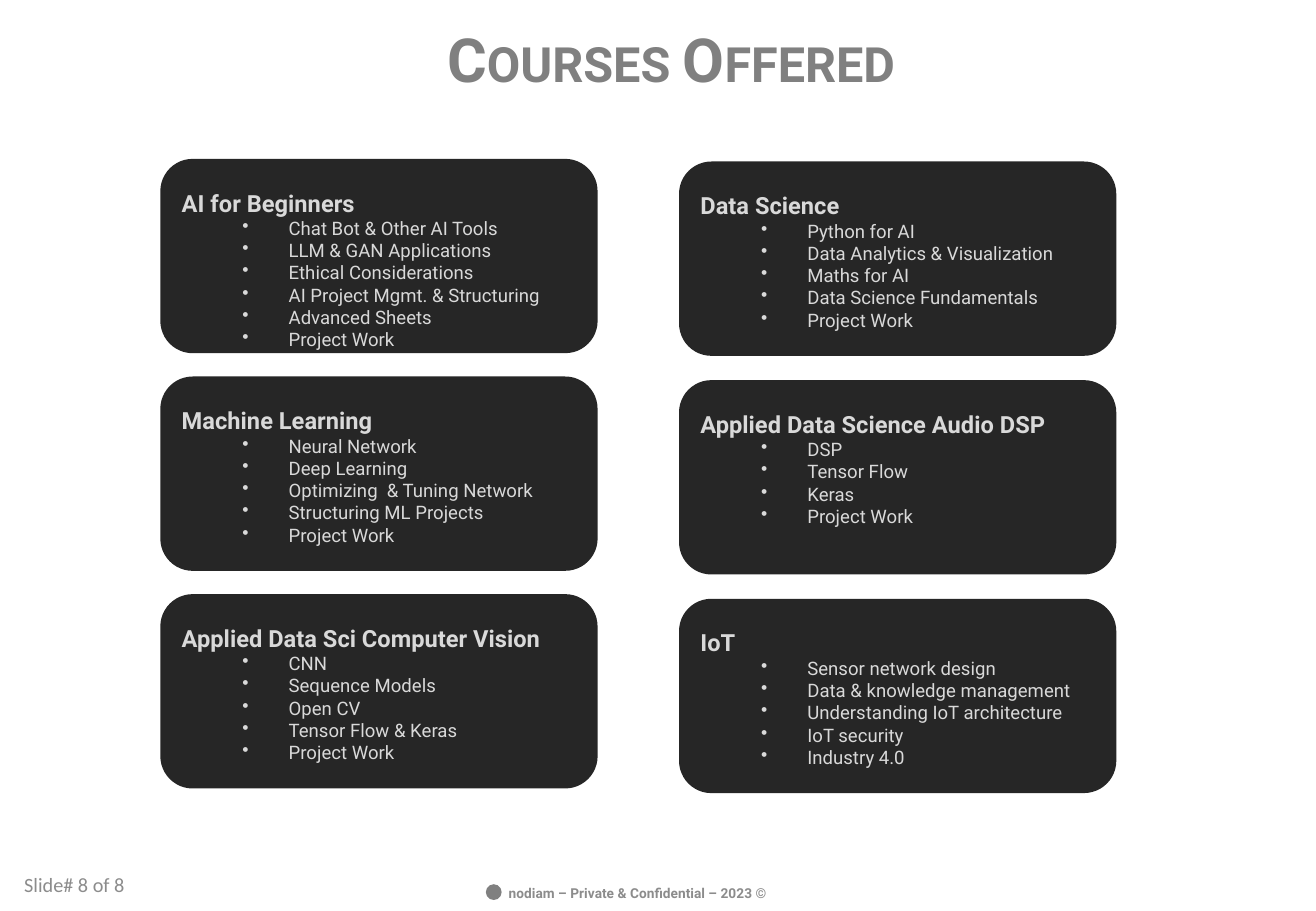
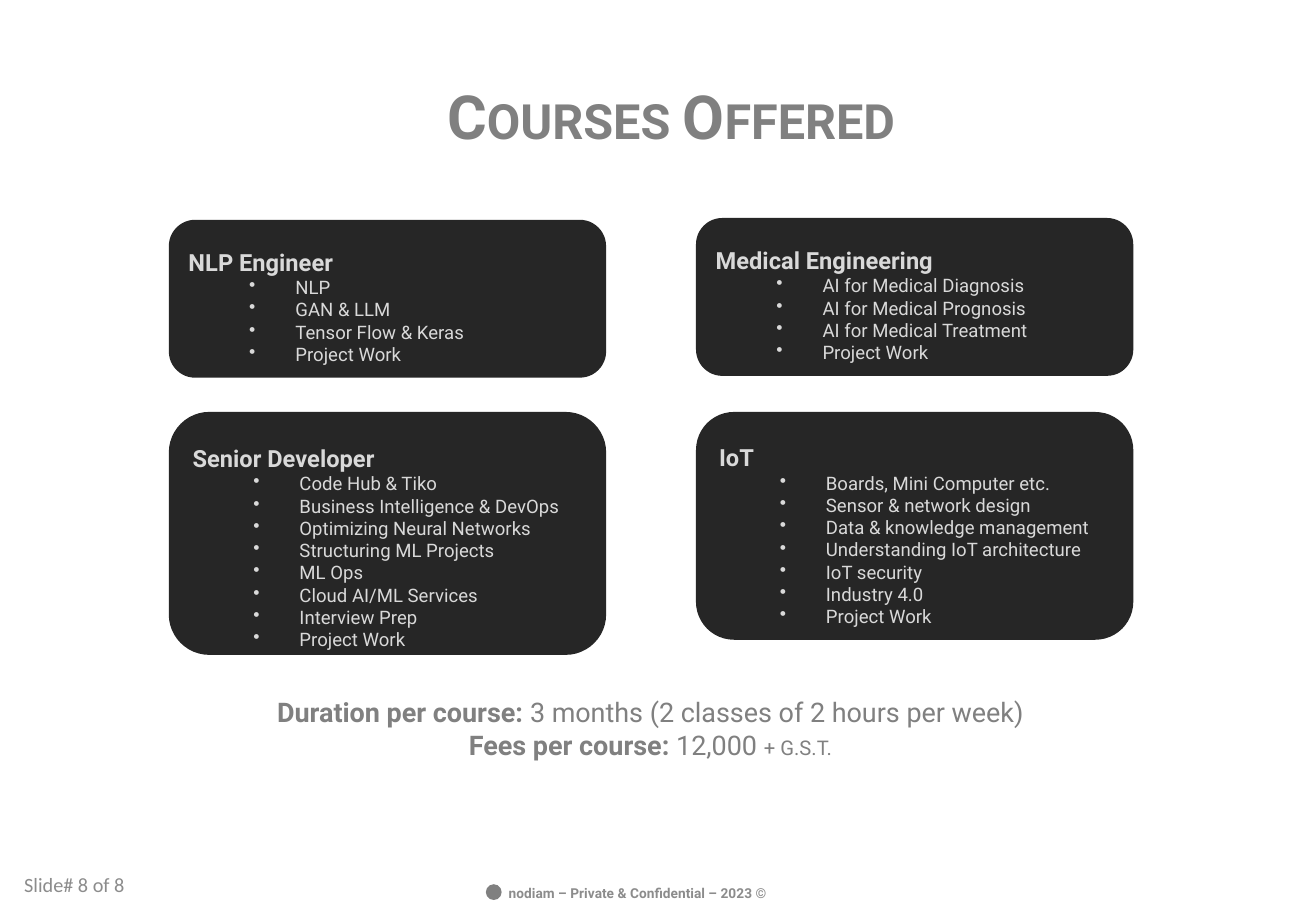
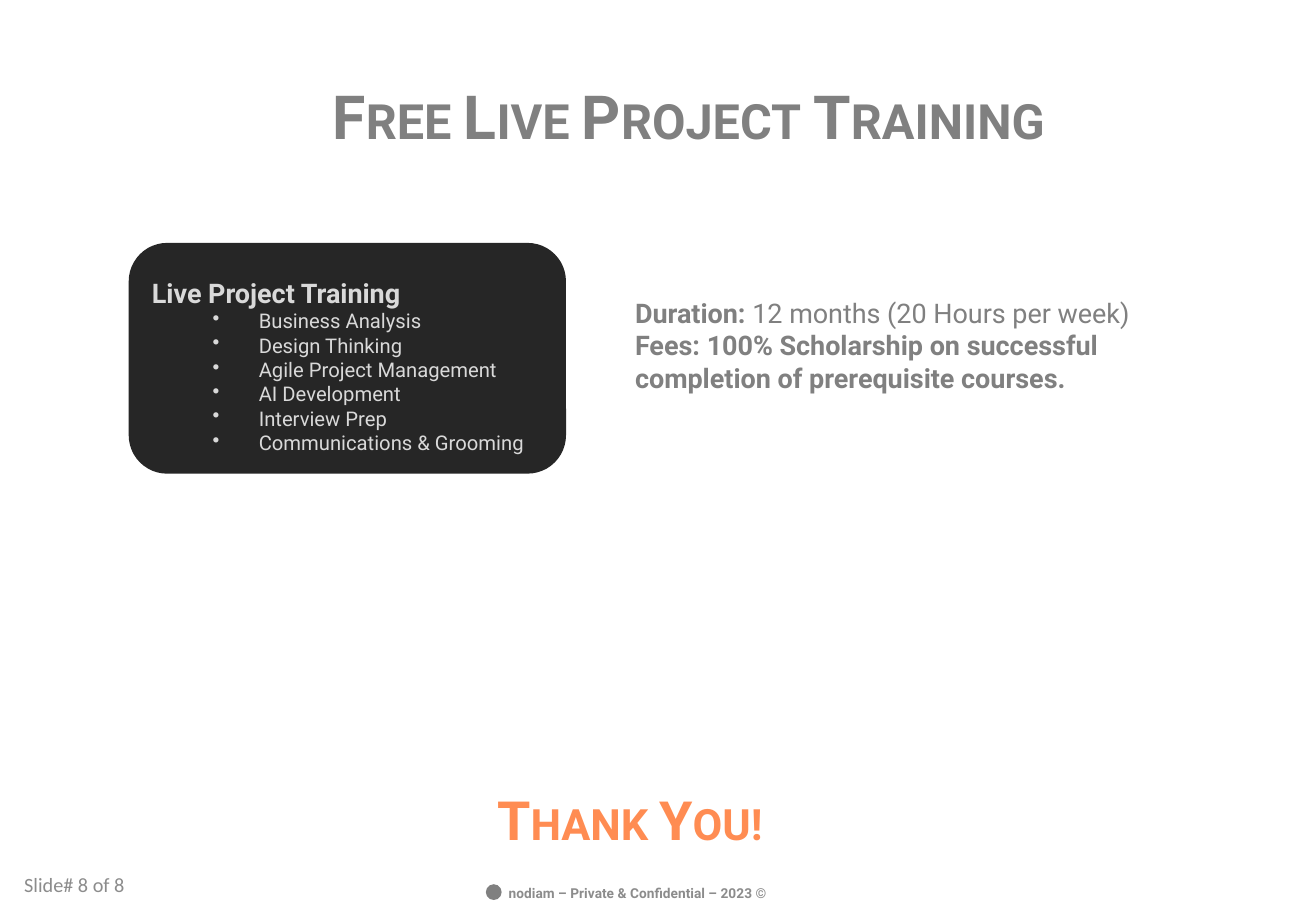
"""Build three course slides: two course overviews and a training offer."""
from lxml.etree import SubElement
from pptx import Presentation
from pptx.dml.color import RGBColor
from pptx.enum.shapes import MSO_SHAPE as Shape
from pptx.enum.text import MSO_ANCHOR as Anchor, PP_ALIGN as Align
from pptx.oxml.ns import qn
from pptx.util import Inches, Pt

COLUMNS, ROWS = 130, 90
CARD_WIDTH = 43.2


def cells(count):
    """Turn a count of grid cells, twelve to the inch, into a length."""
    return Inches(count / 12)


def color(code):
    """Turn a hex string into a colour."""
    return RGBColor.from_string(code)


def write(paragraph, text, size=16, ink="808080", bold=False, font="Roboto", small_caps=False):
    """Add a formatted run to a paragraph."""
    run = paragraph.add_run()
    run.text = text
    run.font.size = Pt(size)
    run.font.bold = bold
    run.font.name = font
    run.font.color.rgb = color(ink)
    if small_caps:
        run._r.get_or_add_rPr().set("cap", "small")


def add_bullet(paragraph):
    """Give a paragraph a hanging bullet."""
    paragraph.level = 1
    properties = paragraph._p.get_or_add_pPr()
    properties.set("marL", str(Inches(0.88)))
    properties.set("indent", str(Inches(-0.38)))
    SubElement(properties, qn("a:buChar")).set("char", "•")


class Deck:
    """Hold the shared style and the current slide."""

    GRAY, FOOTER, CARD, CARD_TEXT, ACCENT = "808080", "8C8C8C", "262626", "D9D9D9", "FF8C52"

    def __init__(self):
        """Start an empty presentation on the grid."""
        self.presentation = Presentation()
        self.presentation.slide_width = cells(COLUMNS)
        self.presentation.slide_height = cells(ROWS)
        self.slide = None

    def new_slide(self):
        """Add a blank slide with its footer."""
        self.slide = self.presentation.slides.add_slide(self.presentation.slide_layouts[6])
        self.text((41.04, 86.28, 43.92, 3.84), [["nodiam – Private & Confidential – 2023 ©"]],
                  align=Align.CENTER, anchor=Anchor.MIDDLE, size=8.1, ink=self.FOOTER, bold=True)
        self.shape(Shape.OVAL, (48, 87.36, 1.56, 1.56), self.GRAY)
        self.text((1.2, 84.72, 14.64, 5.28), [["Slide# 8 of 8"]],
                  anchor=Anchor.MIDDLE, size=12, ink=self.FOOTER, font="Calibri")

    def shape(self, kind, box, fill):
        """Add a plain filled shape."""
        shape = self.slide.shapes.add_shape(kind, *map(cells, box))
        shape.shadow.inherit = False
        shape.fill.solid()
        shape.fill.fore_color.rgb = color(fill)
        shape.line.fill.background()
        return shape

    def text(self, box, lines, align=Align.LEFT, anchor=Anchor.TOP, spacing=1, **style):
        """Add a text box; a line lists strings or (string, format) pairs."""
        frame = self.slide.shapes.add_textbox(*map(cells, box)).text_frame
        frame.word_wrap = True
        frame.vertical_anchor = anchor
        for index, line in enumerate(lines):
            paragraph = frame.add_paragraph() if index else frame.paragraphs[0]
            paragraph.alignment = align
            paragraph.line_spacing = spacing
            for part in line:
                words, changes = (part, {}) if isinstance(part, str) else part
                write(paragraph, words, **{**style, **changes})

    def heading(self, text, box, spacing=2, size=36, ink=GRAY):
        """Add a centred heading in small capitals."""
        self.text(box, [[text]], align=Align.CENTER, spacing=spacing,
                  size=size, ink=ink, bold=True, small_caps=True)

    def card(self, left, top, height, title, topics, title_size=14, topic_size=11):
        """Add a rounded card with a title and bulleted topics."""
        card = self.shape(Shape.ROUNDED_RECTANGLE, (left, top, CARD_WIDTH, height), self.CARD)
        frame = card.text_frame
        frame.word_wrap = True
        frame.vertical_anchor = Anchor.TOP
        paragraph = frame.paragraphs[0]
        paragraph.alignment = Align.LEFT
        paragraph.line_spacing = 1.5
        write(paragraph, title, size=title_size, ink=self.CARD_TEXT, bold=True)
        for topic in topics:
            paragraph = frame.add_paragraph()
            paragraph.alignment = Align.LEFT
            add_bullet(paragraph)
            write(paragraph, topic, size=topic_size, ink=self.CARD_TEXT)


def build_courses(deck):
    """Build the slide with six courses."""
    deck.new_slide()
    deck.heading("Courses Offered", (29.76, 1.56, 73.08, 8.52), spacing=1)
    left_courses = [
        ("AI for Beginners", ["Chat Bot & Other AI Tools", "LLM & GAN Applications",
                              "Ethical Considerations", "AI Project Mgmt. & Structuring",
                              "Advanced Sheets", "Project Work"]),
        ("Machine Learning", ["Neural Network", "Deep Learning", "Optimizing  & Tuning Network",
                              "Structuring ML Projects", "Project Work"]),
        ("Applied Data Sci Computer Vision", ["CNN", "Sequence Models", "Open CV",
                                              "Tensor Flow & Keras", "Project Work"]),
    ]
    right_courses = [
        ("Data Science", ["Python for AI", "Data Analytics & Visualization", "Maths for AI",
                          "Data Science Fundamentals", "Project Work"]),
        ("Applied Data Science Audio DSP", ["DSP", "Tensor Flow", "Keras", "Project Work"]),
        ("IoT", ["Sensor network design", "Data & knowledge management",
                 "Understanding IoT architecture", "IoT security", "Industry 4.0"]),
    ]
    for left, top, step, courses in [(15.84, 15.7, 21.5, left_courses),
                                     (67.08, 15.96, 21.6, right_courses)]:
        for row, (title, topics) in enumerate(courses):
            deck.card(left, top + row * step, 19.2, title, topics)


def build_advanced_courses(deck):
    """Build the slide with four courses, duration and fees."""
    deck.new_slide()
    deck.heading("Courses Offered", (29.76, 0, 73.08, 13.44))
    left, right = 16.68, 68.76
    deck.card(left, 21.72, 15.6, "NLP Engineer",
              ["NLP", "GAN & LLM", "Tensor Flow & Keras", "Project Work"])
    deck.card(right, 21.54, 15.6, "Medical Engineering",
              ["AI for Medical Diagnosis", "AI for Medical Prognosis",
               "AI for Medical Treatment", "Project Work"])
    deck.card(left, 40.7, 24, "Senior Developer",
              ["Code Hub & Tiko", "Business Intelligence & DevOps", "Optimizing Neural Networks",
               "Structuring ML Projects", "ML Ops", "Cloud AI/ML Services",
               "Interview Prep", "Project Work"])
    deck.card(right, 40.7, 22.5, "IoT",
              ["Boards, Mini Computer etc.", "Sensor & network design",
               "Data & knowledge management", "Understanding IoT architecture",
               "IoT security", "Industry 4.0", "Project Work"])
    bold = {"bold": True}
    deck.text((15.84, 68.16, 96.84, 7.68),
              [[("Duration per course: ", bold), "3 months (2 classes of 2 hours per week)"],
               [("Fees per course: ", bold), "12,000 ", ("+ G.S.T.", {"size": 12})]],
              align=Align.CENTER)


def build_training(deck):
    """Build the closing slide with the live project training."""
    deck.new_slide()
    deck.heading("Free Live Project Training", (24.48, 0, 87.12, 13.44))
    deck.heading("Thank You!", (25.68, 70.68, 73.08, 14.16), size=32, ink=deck.ACCENT)
    deck.card(12.72, 24, 22.8, "Live Project Training",
              ["Business Analysis", "Design Thinking", "Agile Project Management",
               "AI Development", "Interview Prep", "Communications & Grooming"],
              title_size=16, topic_size=12)
    bold = {"bold": True}
    deck.text((61.56, 28.68, 55.68, 10.92),
              [[("Duration: ", bold), "12 months (20 Hours per week)"],
               [("Fees: 100% Scholarship on successful completion of prerequisite courses.", bold)]])


def main():
    """Build and save the presentation."""
    deck = Deck()
    build_courses(deck)
    build_advanced_courses(deck)
    build_training(deck)
    deck.presentation.save("out.pptx")


if __name__ == "__main__":
    main()
